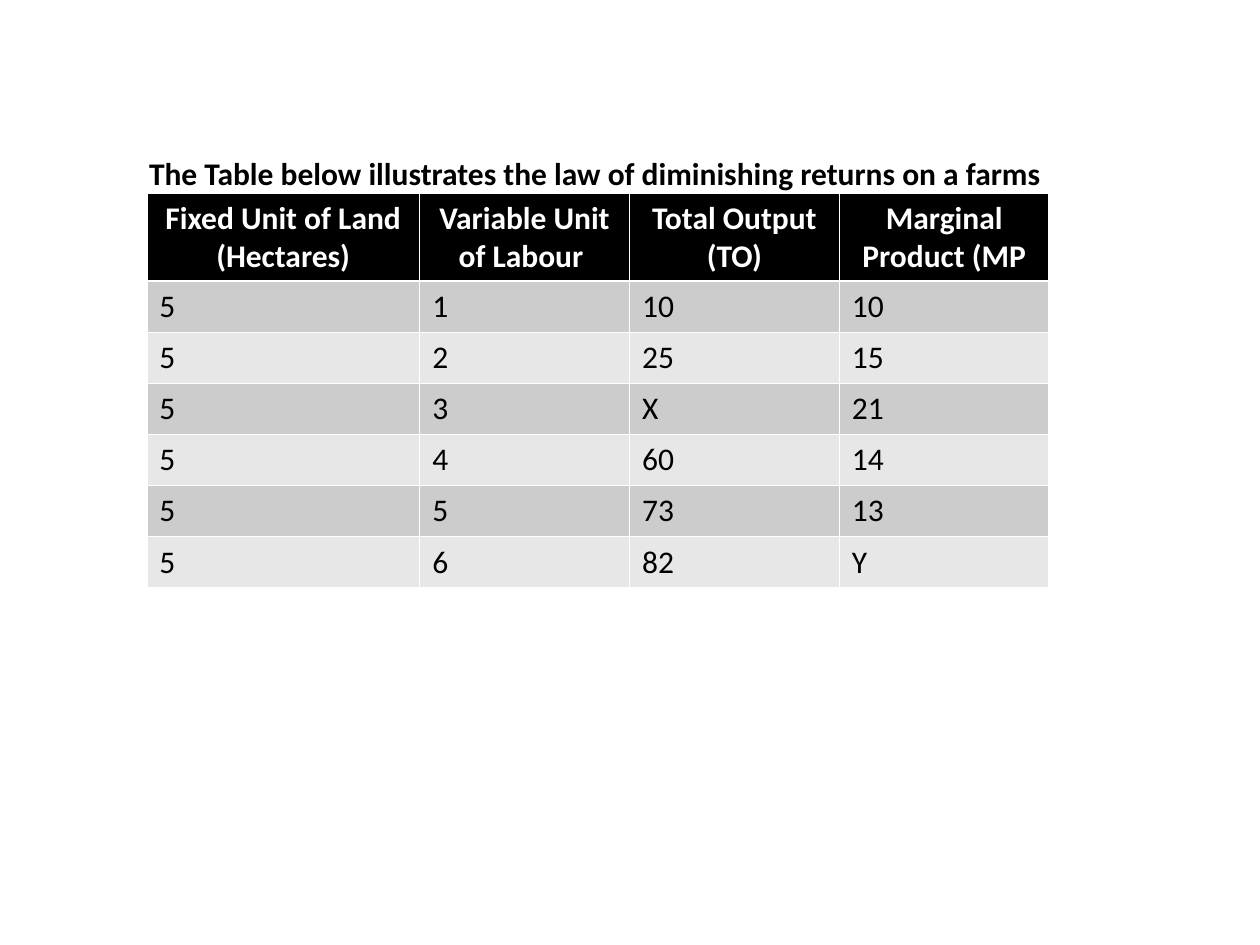
"""Build a slide with a table on the law of diminishing returns."""
import dataclasses
import typing

import pptx
import pptx.dml.color
import pptx.enum.text
import pptx.util

Cm = pptx.util.Cm
Rgb = pptx.dml.color.RGBColor
Align = pptx.enum.text.PP_ALIGN


@dataclasses.dataclass(frozen=True)
class Theme:
    face: str = "Calibri"
    size: int = 18
    dark: str = "000000"
    light: str = "FFFFFF"
    bands: tuple[str, str] = ("CCCCCC", "E7E7E7")


@dataclasses.dataclass(frozen=True)
class Style:
    ink: str
    bold: bool
    align: Align


class Box(typing.NamedTuple):
    left: float
    top: float
    width: float
    height: float


THEME = Theme()
TITLE = Style(THEME.dark, True, Align.LEFT)
HEAD = Style(THEME.light, True, Align.CENTER)
BODY = Style(THEME.dark, False, Align.LEFT)

TITLE_BOX = Box(2.75, 2.97, 18.77, 1.02)
TABLE_BOX = Box(2.96, 3.89, 18.2, 7.95)
WIDTHS = (5.5, 4.23, 4.23, 4.23)
ROW = 1.03

LABELS = (
    "Fixed Unit of Land (Hectares)",
    "Variable Unit of Labour ",
    "Total Output (TO)",
    "Marginal Product (MP",
)
LAND = "5"
YIELDS = (
    ("10", "10"),
    ("25", "15"),
    ("X", "21"),
    ("60", "14"),
    ("73", "13"),
    ("82", "Y"),
)


def apply(item: typing.Any, values: dict[str, typing.Any]) -> None:
    """Set each named attribute of the item."""
    for name, value in values.items():
        setattr(item, name, value)


def write(frame: typing.Any, text: str, style: Style) -> None:
    """Put styled text in a text frame."""
    frame.text = text
    para = frame.paragraphs[0]
    para.alignment = style.align
    font = para.runs[0].font
    apply(font, {
        "name": THEME.face,
        "size": pptx.util.Pt(THEME.size),
        "bold": style.bold,
    })
    font.color.rgb = Rgb.from_string(style.ink)


def place(shape: typing.Any, box: Box) -> None:
    """Move and size a shape."""
    apply(shape, {name: Cm(value) for name, value in box._asdict().items()})


def add_title(slide: typing.Any, text: str) -> None:
    """Fill the title placeholder as the table heading."""
    title = slide.shapes.title
    place(title, TITLE_BOX)
    write(title.text_frame, text, TITLE)
    apply(title.text_frame, {
        "word_wrap": False,
        "auto_size": pptx.enum.text.MSO_AUTO_SIZE.SHAPE_TO_FIT_TEXT,
        "vertical_anchor": pptx.enum.text.MSO_ANCHOR.TOP,
    })


def add_row(cells: typing.Any, texts: tuple[str, ...], fill: str, style: Style) -> None:
    """Fill one table row."""
    for cell, text in zip(cells, texts):
        cell.fill.solid()
        cell.fill.fore_color.rgb = Rgb.from_string(fill)
        write(cell.text_frame, text, style)


def add_grid(slide: typing.Any) -> None:
    """Draw the table of inputs and outputs."""
    size = map(Cm, TABLE_BOX)
    frame = slide.shapes.add_table(len(YIELDS) + 1, len(LABELS), *size)
    table = frame.table
    for col, width in zip(table.columns, WIDTHS):
        col.width = Cm(width)
    for row in table.rows:
        row.height = Cm(ROW)
    place(frame, TABLE_BOX)
    rows = list(table.rows)
    add_row(rows[0].cells, LABELS, THEME.dark, HEAD)
    for num, pair in enumerate(YIELDS, 1):
        fill = THEME.bands[(num - 1) % 2]
        add_row(rows[num].cells, (LAND, str(num), *pair), fill, BODY)


def main() -> None:
    """Build and save the deck."""
    deck = pptx.Presentation()
    apply(deck, {"slide_width": Cm(25.4), "slide_height": Cm(19.05)})
    slide = deck.slides.add_slide(deck.slide_layouts[5])
    add_grid(slide)
    add_title(slide, "The Table below illustrates the law of diminishing returns on a farms")
    deck.save("out.pptx")


if __name__ == "__main__":
    main()
